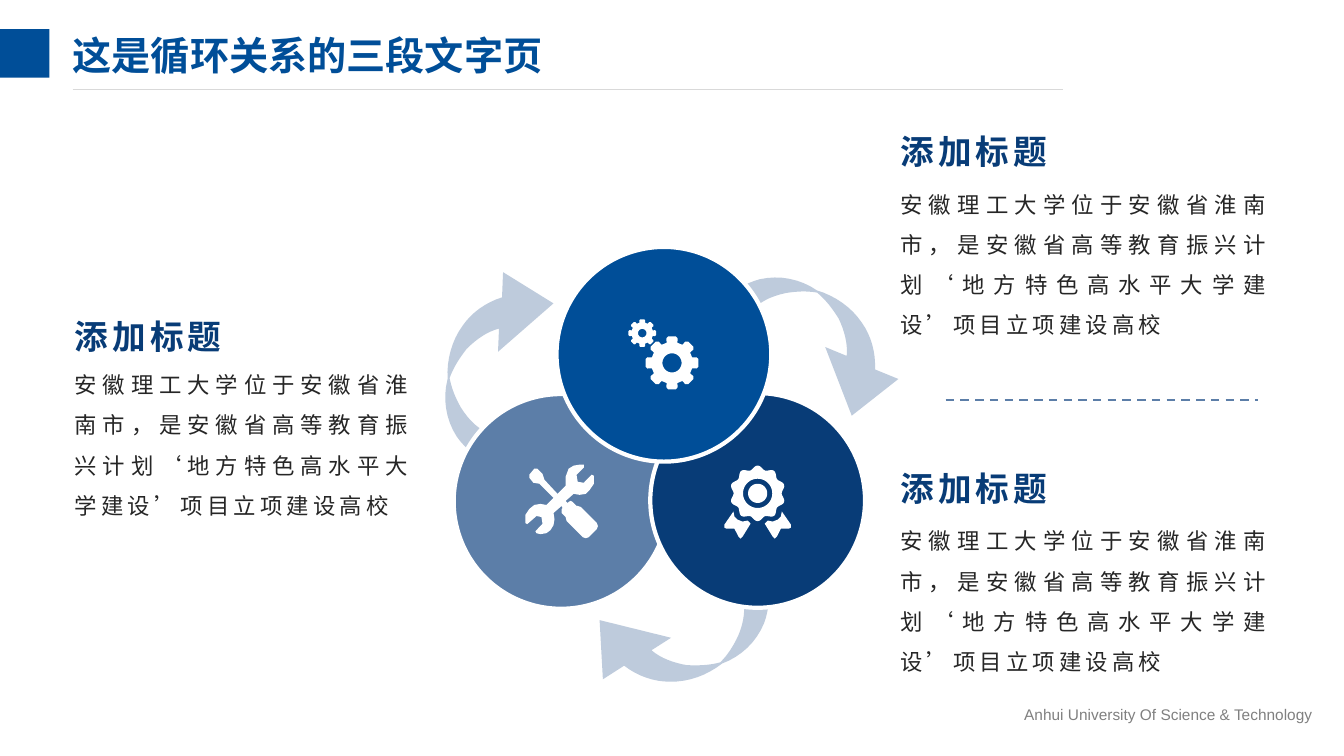
from dataclasses import dataclass
from math import cos, radians, sin

from lxml.etree import SubElement
from pptx import Presentation
from pptx.dml.color import RGBColor
from pptx.enum.dml import MSO_LINE
from pptx.enum.lang import MSO_LANGUAGE_ID as Lang
from pptx.enum.shapes import MSO_CONNECTOR as Connector, MSO_SHAPE as Shape
from pptx.enum.text import MSO_ANCHOR as Anchor, MSO_AUTO_SIZE as AutoSize, PP_ALIGN as Align
from pptx.oxml.ns import qn
from pptx.util import Inches, Pt

CELL = Inches(0.1)
COLUMNS, ROWS = 133.3, 75


@dataclass(frozen=True)
class Theme:
    """Colours, fonts and type sizes of the deck."""
    blue: str = "004E98"
    navy: str = "083C77"
    steel: str = "5C7EA8"
    mist: str = "BECBDC"
    rule: str = "D9D9D9"
    ink: str = "262626"
    grey: str = "808080"
    white: str = "FFFFFF"
    cjk: str = "Noto Sans CJK SC"
    title_font: str = "Montserrat"
    footer_font: str = "Arial"
    title_size: int = 28
    heading_size: int = 24
    body_size: int = 16
    footer_size: int = 11


@dataclass(frozen=True)
class Box:
    """A region measured in grid columns and rows."""
    left: float
    top: float
    width: float
    height: float

    def inner(self, x, y, width, height):
        """Return a box offset from this one's corner."""
        return Box(self.left + x, self.top + y, width, height)

    def emu(self):
        """Return left, top, width and height in EMU."""
        return [round(v * CELL) for v in (self.left, self.top, self.width, self.height)]


THEME = Theme()
HEADING = "添加标题"
BODY = "安徽理工大学位于安徽省淮南市，是安徽省高等教育振兴计划‘地方特色高水平大学建设’项目立项建设高校"

ARROW = [(0, 0), (-.1, 2.5), (-1.7, 3, -3.1, 4, -4, 5.3), (-5.1, 6.8, -5.6, 8.7, -5.5, 10.6),
         (-6, 12.5, -5.7, 14.6, -4.6, 16.3), (-3.7, 17.6, -2.3, 18.7, -.6, 19.2), (.3, 16.3),
         (-.1, 16.3, -.4, 16.3, -.8, 16.2), (-2.3, 15.8, -3.4, 14.7, -4.2, 13.4),
         (-4.7, 12.5, -5.1, 11.6, -5.3, 10.5), (-4.9, 9.4, -4.3, 8.5, -3.6, 7.6),
         (-2.7, 6.7, -1.6, 5.9, -.4, 5.6), (-.5, 7.9), (5, 3.1)]

TOOLS = [(7.2, 5.8), (5.6, 4.2), (5.3, 4.1), (5.2, 4.1), (4.8, 3.7), (4.6, 3.6), (4.4, 3.7),
         (4.3, 3.8), (4.1, 3.6), (4.9, 2.9), (5.5, 3), (6.1, 2.9), (6.5, 2.5), (6.9, 1.9),
         (6.9, 1.1), (6.7, 1), (6, 1.7), (5.9, 1.8), (5.3, 1.7), (5.2, 1.1), (5.2, 1), (5.9, .3),
         (5.9, 0), (5.5, 0), (4.9, .1), (4.4, .4), (4.1, 1.2), (4.1, 2.1), (3.3, 2.9), (2, 1.5),
         (1.8, .9), (1.3, .4), (1, .4), (.5, 1), (.5, 1.3), (.9, 1.8), (1.5, 1.9), (2.9, 3.3),
         (2.2, 4), (1.6, 3.9), (1, 4), (.5, 4.4), (.1, 5), (.1, 5.8), (.3, 5.9), (1.1, 5.2),
         (1.2, 5.1), (1.7, 5.2), (1.8, 5.8), (1.8, 5.9), (1.1, 6.6), (1.2, 6.8), (1.6, 6.9),
         (2.2, 6.8), (2.6, 6.5), (2.9, 6), (3, 5.4), (2.9, 4.8), (3.7, 4.1), (3.8, 4.3),
         (3.7, 4.4), (3.7, 4.8), (4.1, 5.2), (4.2, 5.6), (5.8, 7.2), (6.1, 7.3), (6.4, 7.2),
         (7.2, 6.4), (7.3, 6.1)]

RIBBON = [(-2.4, 1.8), (-2.3, 2.3), (-2, 2.6), (-1.5, 2.8), (-1, 2.7), (-.7, 3), (-1.5, 4.3),
          (-1.7, 4.5), (-1.9, 4.3), (-2.3, 3.5), (-3.1, 3.5), (-3.3, 3.4), (-3.3, 3.1)]


def flatten(outline, steps=8):
    """Turn line ends and cubic curves into one list of points."""
    points = []
    for segment in outline:
        if len(segment) == 2:
            points.append(segment)
            continue
        (x0, y0), (x1, y1, x2, y2, x3, y3) = points[-1], segment
        for t in (i / steps for i in range(1, steps + 1)):
            a, b, c, d = (1 - t) ** 3, 3 * t * (1 - t) ** 2, 3 * t * t * (1 - t), t ** 3
            points.append((a * x0 + b * x1 + c * x2 + d * x3, a * y0 + b * y1 + c * y2 + d * y3))
    return points


def polar(radius_at, dx=0, dy=0, step=3):
    """Return a closed outline whose radius depends on the angle."""
    return [(dx + radius_at(a) * cos(radians(a)), dy + radius_at(a) * sin(radians(a)))
            for a in range(0, 360, step)]


def gear(radius, hole, dx=0, dy=0):
    """Return the outlines of an eight-toothed gear and its hole."""
    tooth = [(-15, .78), (-13, .94), (-8, 1), (8, 1), (13, .94), (15, .78)]
    rim = [(dx + radius * share * cos(radians(45 * k + a)),
            dy + radius * share * sin(radians(45 * k + a))) for k in range(8) for a, share in tooth]
    return [rim, polar(lambda a: hole, dx, dy, 10)]


def paint(shape, fill, border=None):
    """Give a shape a flat fill and an optional 3 pt border."""
    shape.shadow.inherit = False
    shape.fill.solid()
    shape.fill.fore_color.rgb = RGBColor.from_string(fill)
    if border:
        shape.line.color.rgb = RGBColor.from_string(border)
        shape.line.width = Pt(3)
    else:
        shape.line.fill.background()


def add_outline(slide, origin_x, origin_y, outlines, fill):
    """Draw closed outlines around an origin as one freeform."""
    rings = [[(round((origin_x + x) * CELL), round((origin_y + y) * CELL)) for x, y in ring]
             for ring in outlines]
    builder = slide.shapes.build_freeform(*rings[0][0], scale=1.0)
    for index, ring in enumerate(rings):
        if index:
            builder.move_to(*ring[0])
        builder.add_line_segments(ring[1:], close=True)
    paint(builder.convert_to_shape(), fill)


def add_rule(slide, box, color, width, dash=None):
    """Draw a horizontal line along the top of a box."""
    left, top, length, _ = box.emu()
    rule = slide.shapes.add_connector(Connector.STRAIGHT, left, top, left + length, top)
    rule.line.color.rgb = RGBColor.from_string(color)
    rule.line.width = Pt(width)
    if dash:
        rule.line.dash_style = dash
    SubElement(rule._element.spPr, qn("a:effectLst"))


def add_text(slide, box, text, font, size, color, bold=False, tracking=0, spacing=None,
             align=Align.LEFT, anchor=Anchor.TOP, language=Lang.SIMPLIFIED_CHINESE):
    """Write one paragraph in a box without margins."""
    frame = slide.shapes.add_textbox(*box.emu()).text_frame
    frame.word_wrap = True
    frame.auto_size = AutoSize.NONE
    frame.vertical_anchor = anchor
    frame.margin_left = frame.margin_right = frame.margin_top = frame.margin_bottom = 0
    paragraph = frame.paragraphs[0]
    paragraph.alignment = align
    paragraph.line_spacing = spacing
    run = paragraph.add_run()
    run.text = text
    run.font.name, run.font.size, run.font.bold = font, Pt(size), bold
    run.font.color.rgb = RGBColor.from_string(color)
    run.font.language_id = language
    properties = run._r.get_or_add_rPr()
    SubElement(properties, qn("a:ea")).set("typeface", THEME.cjk)
    if tracking:
        properties.set("spc", str(tracking * 100))


def add_header(slide, box):
    """Place the square marker, the title and its rule."""
    marker = slide.shapes.add_shape(Shape.RECTANGLE, *box.inner(0, .8, 4.9, 4.8).emu())
    paint(marker, THEME.blue)
    add_rule(slide, box.inner(7.2, 6.8, 98.2, 0), THEME.rule, .5)
    add_text(slide, box.inner(7.2, 0, 95.1, 7.3), "这是循环关系的三段文字页", THEME.title_font,
             THEME.title_size, THEME.blue, bold=True, spacing=.9, anchor=Anchor.MIDDLE)


def add_cycle(slide, box):
    """Place three turning arrows, three circles and their icons."""
    stages = [((5.7, 2.5), 0, (.8, 14.6), THEME.steel),
              ((15.6, 42.9), 235, (20.3, 14.5), THEME.navy),
              ((44.9, 13.1), 110, (11, 0), THEME.blue)]
    for (x, y), turn, corner, color in stages:
        c, s = cos(radians(turn)), sin(radians(turn))
        arrow = [(c * px - s * py, s * px + c * py) for px, py in flatten(ARROW)]
        add_outline(slide, box.left + x, box.top + y, [arrow], THEME.mist)
        circle = slide.shapes.add_shape(Shape.OVAL, *box.inner(*corner, 21.3, 21.3).emu())
        paint(circle, color, THEME.white)
    medal = [polar(lambda a: 2.57 + .19 * cos(radians(10 * (a - 90)))),
             polar(lambda a: 1.45), polar(lambda a: .95),
             RIBBON, [(-x, y) for x, y in RIBBON]]
    gears = gear(2.65, .95) + gear(1.38, .42, -2.95, -2.95)
    for x, y, icon in [(7.8, 21.6, [TOOLS]), (22.45, 11.5, gears), (30.95, 24.45, medal)]:
        add_outline(slide, box.left + x, box.top + y, icon, THEME.white)


def add_section(slide, box):
    """Place a heading at the top and its text at the foot of a box."""
    add_text(slide, box.inner(0, 0, 15.3, 4), HEADING, THEME.cjk, THEME.heading_size,
             THEME.navy, bold=True, tracking=3)
    add_text(slide, box.inner(0, box.height - 15.7, box.width, 15.7), BODY, THEME.cjk,
             THEME.body_size, THEME.ink, tracking=3, spacing=1.5, align=Align.JUSTIFY)


def build_cycle_slide(deck):
    """Build the slide with a three-part cycle and three texts."""
    slide = deck.slides.add_slide(deck.slide_layouts[6])
    add_text(slide, Box(100.6, 70, 29.6, 1.9), "Anhui University Of Science & Technology",
             THEME.footer_font, THEME.footer_size, THEME.grey, align=Align.RIGHT,
             language=Lang.ENGLISH_US)
    add_header(slide, Box(0, 2.1, COLUMNS, 7.3))
    add_cycle(slide, Box(44.2, 24.5, 45, 43.1))
    add_rule(slide, Box(93.8, 39.7, 31, 0), THEME.steel, 1.5, MSO_LINE.DASH)
    for section in (Box(89.3, 46.4, 36.7, 20.3), Box(7.4, 31.3, 33.5, 19.9),
                    Box(89.3, 13, 36.7, 20.3)):
        add_section(slide, section)


def main():
    """Create the deck and save it."""
    deck = Presentation()
    deck.slide_width, deck.slide_height = round(COLUMNS * CELL), ROWS * CELL
    build_cycle_slide(deck)
    deck.save("out.pptx")


if __name__ == "__main__":
    main()
